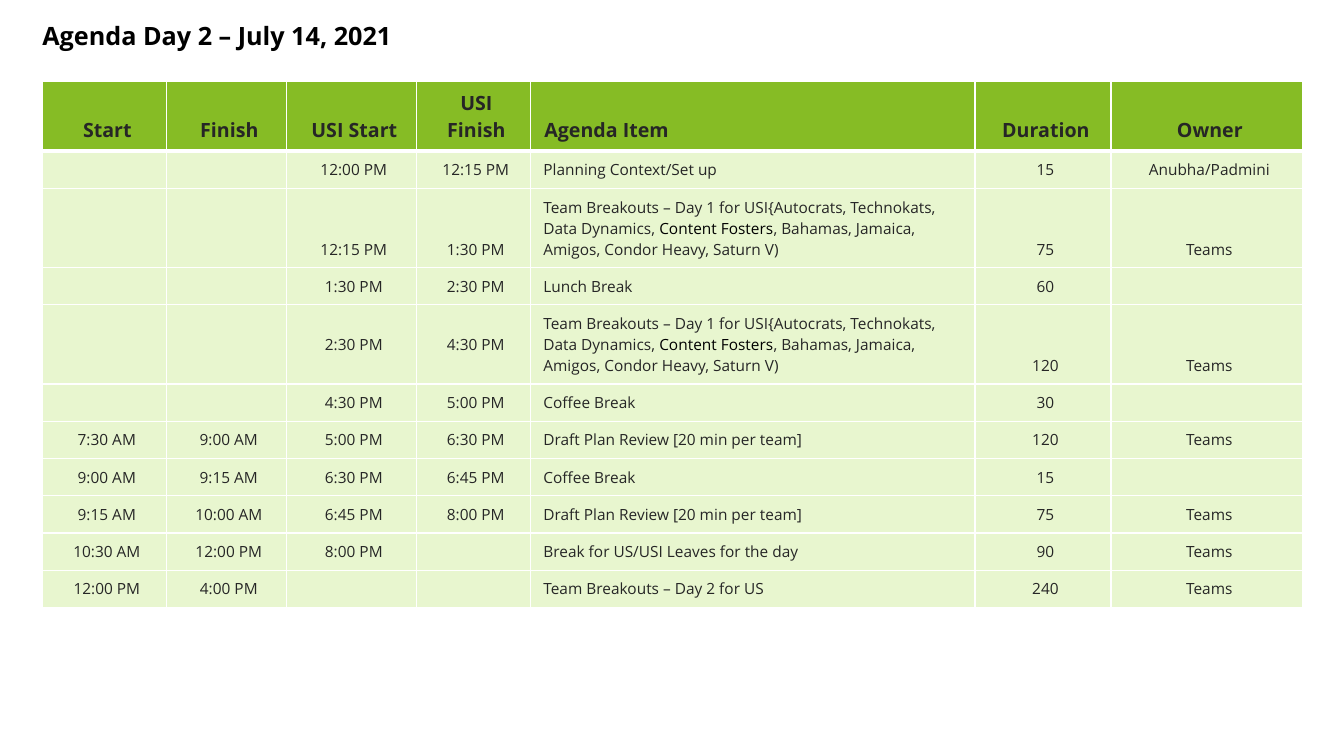
from dataclasses import dataclass

from lxml import etree
from pptx import Presentation
from pptx.dml.color import RGBColor
from pptx.enum.text import MSO_ANCHOR, MSO_AUTO_SIZE, PP_ALIGN
from pptx.oxml.ns import qn
from pptx.util import Inches, Pt

LEFT, CENTER = PP_ALIGN.LEFT, PP_ALIGN.CENTER
MIDDLE, BOTTOM = MSO_ANCHOR.MIDDLE, MSO_ANCHOR.BOTTOM
NO_AUTO_SIZE = MSO_AUTO_SIZE.NONE
TITLE_ONLY_LAYOUT = 5


@dataclass(frozen=True)
class Theme:
    font: str = "Open Sans"
    title_color: str = "000000"
    text_color: str = "262626"
    header_fill: str = "86BC25"
    body_fill: str = "E8F6CF"
    border_color: str = "FFFFFF"
    title_size: int = 18
    header_size: int = 14
    body_size: int = 11
    border_width: int = 1
    header_rule_width: int = 3


@dataclass(frozen=True)
class Column:
    heading: str
    width: float
    alignment: PP_ALIGN = CENTER


@dataclass(frozen=True)
class Session:
    start: str
    finish: str
    usi_start: str
    usi_finish: str
    item: str
    duration: str
    owner: str = ""
    height: float = 0.37
    usi_anchor: MSO_ANCHOR = BOTTOM

    def values(self) -> list[str]:
        return [self.start, self.finish, self.usi_start, self.usi_finish,
                self.item, self.duration, self.owner]


THEME = Theme()
HEADER_HEIGHT = 0.64
TALL_HEIGHT = 0.69
USI_COLUMNS = (2, 3)
HIGHLIGHT = "Content Fosters"
USI_BREAKOUTS = ("Team Breakouts – Day 1 for USI{Autocrats, Technokats, Data Dynamics, "
                 "Content Fosters, Bahamas, Jamaica, Amigos, Condor Heavy, Saturn V)")
PLAN_REVIEW = "Draft Plan Review [20 min per team]"

COLUMNS = [
    Column("Start", 1.23),
    Column("Finish", 1.19),
    Column("USI Start", 1.29),
    Column("USI Finish", 1.13),
    Column("Agenda Item", 4.41, LEFT),
    Column("Duration", 1.35),
    Column("Owner", 1.9),
]
SESSIONS = [
    Session("", "", "12:00 PM", "12:15 PM", "Planning Context/Set up", "15", "Anubha/Padmini"),
    Session("", "", "12:15 PM", "1:30 PM", USI_BREAKOUTS, "75", "Teams", TALL_HEIGHT),
    Session("", "", "1:30 PM", "2:30 PM", "Lunch Break", "60"),
    Session("", "", "2:30 PM", "4:30 PM", USI_BREAKOUTS, "120", "Teams", TALL_HEIGHT, MIDDLE),
    Session("", "", "4:30 PM", "5:00 PM", "Coffee Break", "30"),
    Session("7:30 AM", "9:00 AM", "5:00 PM", "6:30 PM", PLAN_REVIEW, "120", "Teams"),
    Session("9:00 AM", "9:15 AM", "6:30 PM", "6:45 PM", "Coffee Break", "15"),
    Session("9:15 AM", "10:00 AM", "6:45 PM", "8:00 PM", PLAN_REVIEW, "75", "Teams"),
    Session("10:30 AM", "12:00 PM", "8:00 PM", "", "Break for US/USI Leaves for the day", "90", "Teams"),
    Session("12:00 PM", "4:00 PM", "", "", "Team Breakouts – Day 2 for US", "240", "Teams"),
]


def write_text(text_frame, text: str, *, size: int, color: str, bold: bool = False,
               alignment: PP_ALIGN = LEFT, line_spacing: float = 1.0) -> None:
    """Write one paragraph, with the highlighted team in the title colour."""
    paragraph = text_frame.paragraphs[0]
    paragraph.alignment = alignment
    paragraph.line_spacing = line_spacing
    before, highlight, after = text.partition(HIGHLIGHT)
    for part, part_color in ((before, color), (highlight, THEME.title_color), (after, color)):
        if part:
            run = paragraph.add_run()
            run.text = part
            run.font.name = THEME.font
            run.font.size = Pt(size)
            run.font.bold = bold
            run.font.color.rgb = RGBColor.from_string(part_color)
    if not text:
        # The end mark's size keeps empty cells from stretching their row.
        etree.SubElement(paragraph._p, qn("a:endParaRPr"), sz=str(size * 100))


def add_borders(cell, top: int, bottom: int) -> None:
    properties = cell._tc.get_or_add_tcPr()
    widths = {"lnL": THEME.border_width, "lnR": THEME.border_width, "lnT": top, "lnB": bottom}
    for side, width in widths.items():
        line = etree.SubElement(properties, qn(f"a:{side}"), w=str(Pt(width)))
        fill = etree.SubElement(line, qn("a:solidFill"))
        etree.SubElement(fill, qn("a:srgbClr"), val=THEME.border_color)


def fill_cell(cell, text: str, *, alignment: PP_ALIGN, header: bool = False,
              first: bool = False, anchor: MSO_ANCHOR = BOTTOM) -> None:
    add_borders(cell,
                top=THEME.header_rule_width if first else THEME.border_width,
                bottom=THEME.header_rule_width if header else THEME.border_width)
    cell.fill.solid()
    cell.fill.fore_color.rgb = RGBColor.from_string(
        THEME.header_fill if header else THEME.body_fill)
    cell.margin_left = Inches(0.14 if header else 0.13)
    cell.margin_top = cell.margin_right = cell.margin_bottom = Inches(0.08)
    cell.vertical_anchor = anchor
    write_text(cell.text_frame, text, alignment=alignment, bold=header, color=THEME.text_color,
               size=THEME.header_size if header else THEME.body_size)


def add_title(slide) -> None:
    title = slide.shapes.title
    title.left, title.top = Inches(0.42), Inches(0.19)
    title.width, title.height = Inches(12.31), Inches(0.37)
    frame = title.text_frame
    frame.margin_left = frame.margin_top = frame.margin_right = frame.margin_bottom = 0
    frame.vertical_anchor = MIDDLE
    frame.word_wrap = True
    frame.auto_size = NO_AUTO_SIZE
    write_text(frame, "Agenda Day 2 – July 14, 2021", size=THEME.title_size,
               color=THEME.title_color, bold=True, line_spacing=0.9)


def add_agenda(slide) -> None:
    heights = [HEADER_HEIGHT] + [session.height for session in SESSIONS]
    width = sum(column.width for column in COLUMNS)
    table = slide.shapes.add_table(len(heights), len(COLUMNS), Inches(0.42), Inches(0.81),
                                   Inches(width), Inches(sum(heights))).table
    table.horz_banding = False
    for row, height in zip(table.rows, heights):
        row.height = Inches(height)
    for index, column in enumerate(COLUMNS):
        table.columns[index].width = Inches(column.width)
        fill_cell(table.cell(0, index), column.heading, alignment=column.alignment, header=True)
    for row_index, session in enumerate(SESSIONS, start=1):
        for index, (column, text) in enumerate(zip(COLUMNS, session.values())):
            fill_cell(table.cell(row_index, index), text, alignment=column.alignment,
                      first=row_index == 1,
                      anchor=session.usi_anchor if index in USI_COLUMNS else BOTTOM)


def main() -> None:
    presentation = Presentation()
    presentation.slide_width, presentation.slide_height = Inches(13.33), Inches(7.5)
    slide = presentation.slides.add_slide(presentation.slide_layouts[TITLE_ONLY_LAYOUT])
    add_agenda(slide)
    add_title(slide)
    presentation.save("out.pptx")


if __name__ == "__main__":
    main()
